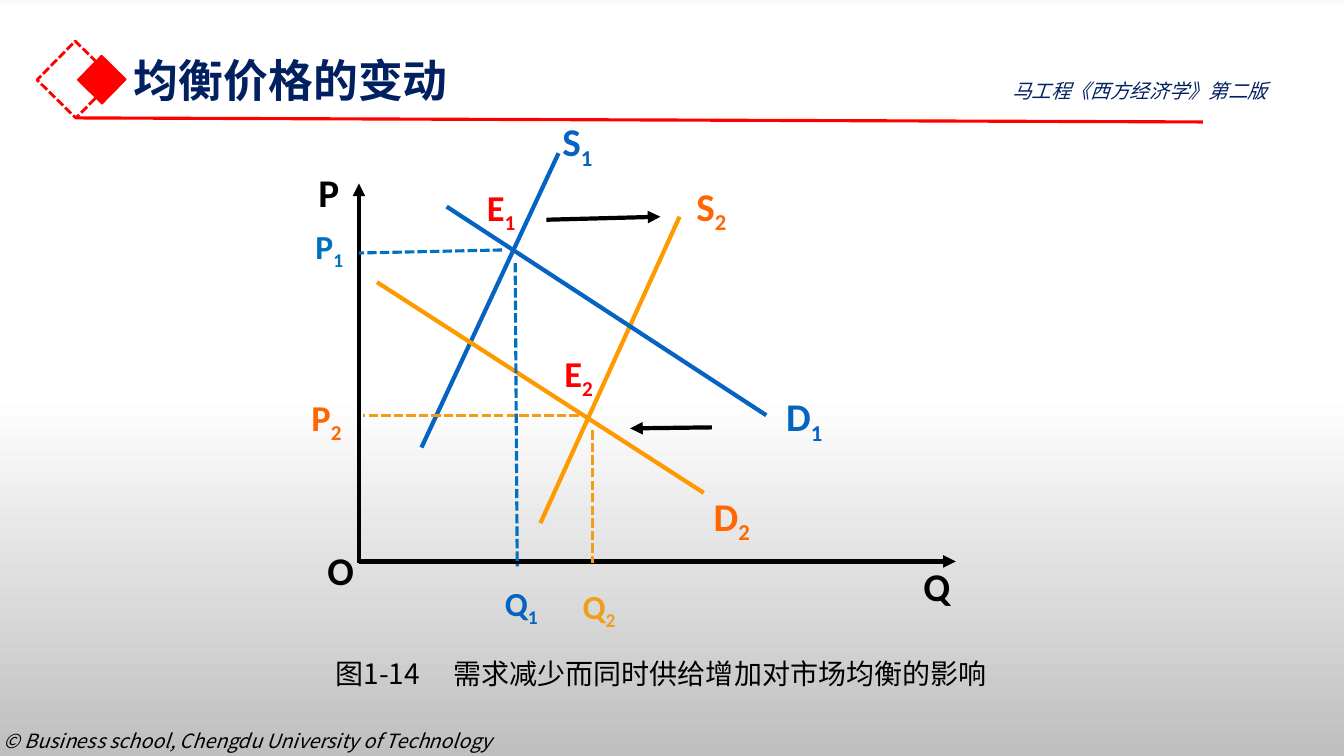
from lxml import etree
from pptx import Presentation
from pptx.dml.color import RGBColor
from pptx.enum.dml import MSO_LINE
from pptx.enum.shapes import MSO_CONNECTOR, MSO_SHAPE
from pptx.enum.text import MSO_ANCHOR, MSO_AUTO_SIZE
from pptx.oxml.ns import qn
from pptx.util import Inches, Pt

STRAIGHT = MSO_CONNECTOR.STRAIGHT
RECT = MSO_SHAPE.RECTANGLE
DASH = MSO_LINE.SQUARE_DOT
TOP, MIDDLE = MSO_ANCHOR.TOP, MSO_ANCHOR.MIDDLE
FIT = MSO_AUTO_SIZE.SHAPE_TO_FIT_TEXT
CJK, LATIN = "Noto Sans CJK SC", "Calibri"

COLORS = {
    "black": "000000", "red": "FF0000", "navy": "002060",
    "blue": "0563C1", "light_blue": "0070C0",
    "orange": "FF9900", "dark_orange": "FF6600", "gold": "F19D19",
}
BACKGROUND = [(0, "F9F9F9"), (1, "FFFFFF"), (52, "FFFFFF"), (100, "BFBFBF")]

# Solid chart lines: start, end, colour
CURVES = [
    ((4.18, 4.44), (5.54, 1.52), "blue"),
    ((5.36, 5.19), (6.74, 2.15), "orange"),
    ((4.43, 2.05), (7.6, 4.12), "blue"),
    ((3.74, 2.8), (6.98, 4.89), "orange"),
]
ARROWS = [
    ((3.56, 5.59), (3.56, 1.82)),
    ((3.56, 5.57), (9.48, 5.57)),
    ((5.42, 2.18), (6.55, 2.15)),
    ((7.06, 4.24), (6.25, 4.25)),
]
GUIDES = [
    ((5.74, 4.12), (3.6, 4.12), "gold"),
    ((4.98, 2.48), (3.56, 2.51), "light_blue"),
    ((5.88, 4.27), (5.88, 5.59), "gold"),
    ((5.11, 2.61), (5.13, 5.62), "light_blue"),
]
# Letter, subscript, box, size, colour, anchor
LABELS = [
    ("S", "1", (5.48, 1.26, 0.56, 0.34), 28, "blue", MIDDLE),
    ("S", "2", (6.81, 1.88, 0.6, 0.38), 28, "dark_orange", MIDDLE),
    ("D", "1", (7.7, 3.84, 0.64, 0.57), 28, "blue", TOP),
    ("D", "2", (6.98, 4.98, 0.6, 0.33), 28, "dark_orange", MIDDLE),
    ("P", "", (3.06, 1.74, 0.33, 0.33), 28, "black", MIDDLE),
    ("O", "", (3.15, 5.49, 0.33, 0.33), 28, "black", MIDDLE),
    ("Q", "", (9.06, 5.65, 0.33, 0.33), 28, "black", MIDDLE),
    ("P", "1", (3.03, 2.19, 0.49, 0.5), 24, "light_blue", TOP),
    ("P", "2", (2.99, 4, 0.6, 0.33), 26, "dark_orange", MIDDLE),
    ("Q", "1", (4.91, 5.78, 0.53, 0.46), 24, "blue", MIDDLE),
    ("Q", "2", (5.68, 5.86, 0.73, 0.35), 24, "gold", MIDDLE),
    ("E", "1", (4.73, 1.92, 0.6, 0.33), 26, "red", MIDDLE),
    ("E", "2", (5.5, 3.53, 0.68, 0.4), 26, "red", MIDDLE),
]


def rgb(name):
    return RGBColor.from_string(COLORS[name])


def add_background(s):
    fill = s.background.fill
    fill.gradient()
    fill.gradient_angle = 270
    stops = s.element.find(".//" + qn("a:gsLst"))
    for stop in list(stops):
        stops.remove(stop)
    for pos, color in BACKGROUND:
        gs = etree.SubElement(stops, qn("a:gs"), pos=str(pos * 1000))
        etree.SubElement(gs, qn("a:srgbClr"), val=color)


def add_text(s, text, box, size=14, color="black", font=CJK, bold=False,
             italic=False, sub="", wrap=False, anchor=TOP, fit=False,
             spacing=None, top=0.05, tab=None):
    tf = s.shapes.add_textbox(*map(Inches, box)).text_frame
    tf.word_wrap = wrap
    tf.vertical_anchor = anchor
    tf.margin_top = Inches(top)
    if fit:
        tf.auto_size = FIT
    p = tf.paragraphs[0]
    if spacing:
        p.line_spacing = spacing
    if tab:
        tabs = etree.SubElement(p._p.get_or_add_pPr(), qn("a:tabLst"))
        etree.SubElement(tabs, qn("a:tab"), pos=str(Inches(tab)), algn="l")
    for part, baseline in ((text, None), (sub, "-25000")):
        if not part:
            continue
        r = p.add_run()
        r.text = part
        r.font.size = Pt(size)
        r.font.bold = bold
        r.font.italic = italic
        r.font.color.rgb = rgb(color)
        r.font.name = font
        rPr = r.font._element
        etree.SubElement(rPr, qn("a:ea"), typeface=font)
        if baseline:
            rPr.set("baseline", baseline)


def add_line(s, start, end, color="black", width=3, dash=None, arrow=False):
    c = s.shapes.add_connector(STRAIGHT, *map(Inches, start + end))
    c.line.color.rgb = rgb(color)
    c.line.width = Pt(width)
    if dash:
        c.line.dash_style = dash
    if arrow:
        etree.SubElement(c.line._get_or_add_ln(), qn("a:tailEnd"), type="triangle")
    etree.SubElement(c._element.spPr, qn("a:effectLst"))


def add_diamond(s, box, width, filled):
    sp = s.shapes.add_shape(RECT, *map(Inches, box))
    sp.shadow.inherit = False
    sp.rotation = 314.5
    sp.line.color.rgb = rgb("red")
    sp.line.width = Pt(width)
    if filled:
        sp.fill.solid()
        sp.fill.fore_color.rgb = rgb("red")
    else:
        sp.fill.background()
        sp.line.dash_style = DASH


def main():
    prs = Presentation()
    prs.slide_width, prs.slide_height = Inches(13.33), Inches(7.5)
    s = prs.slides.add_slide(prs.slide_layouts[6])
    add_background(s)

    # Footer and header
    add_text(s, "© Business school, Chengdu University of Technology",
             (-0.06, 7.18, 5.31, 0.34), italic=True, fit=True)
    add_diamond(s, (0.48, 0.52, 0.54, 0.54), 2, filled=False)
    add_diamond(s, (0.84, 0.62, 0.34, 0.34), 1, filled=True)
    add_line(s, (0.75, 1.17), (11.93, 1.21), "red", 2.25)
    add_text(s, "均衡价格的变动", (1.23, 0.55, 11.5, 0.95), size=32,
             color="navy", bold=True, wrap=True, spacing=0.9, top=0.03)
    add_text(s, "马工程《西方经济学》第二版", (9.94, 0.73, 3.24, 0.34),
             color="navy", italic=True, wrap=True, fit=True)

    # Supply and demand diagram
    for start, end, color in CURVES:
        add_line(s, start, end, color)
    for start, end in ARROWS:
        add_line(s, start, end, arrow=True)
    for start, end, color in GUIDES:
        add_line(s, start, end, color, 2.25, dash=DASH)
    for letter, sub, box, size, color, anchor in LABELS:
        add_text(s, letter, box, size=size, color=color, font=LATIN,
                 bold=True, sub=sub, anchor=anchor, fit=anchor == TOP)

    # Caption
    add_text(s, "图1-14\t需求减少而同时供给增加对市场均衡的影响",
             (3.23, 6.3, 6.67, 0.55), size=20, spacing=1.5, fit=True, tab=1.17)
    prs.save("out.pptx")


if __name__ == "__main__":
    main()
